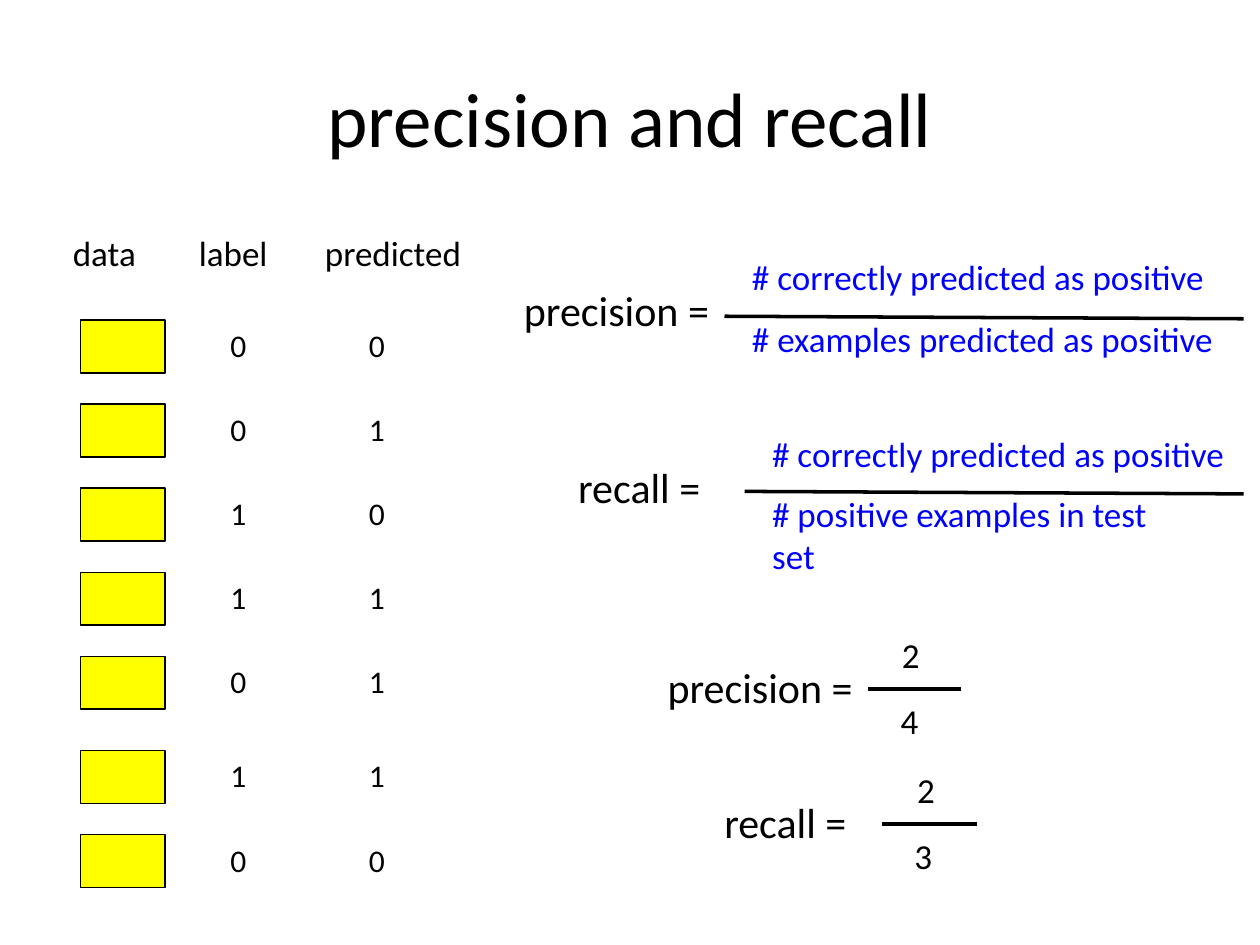
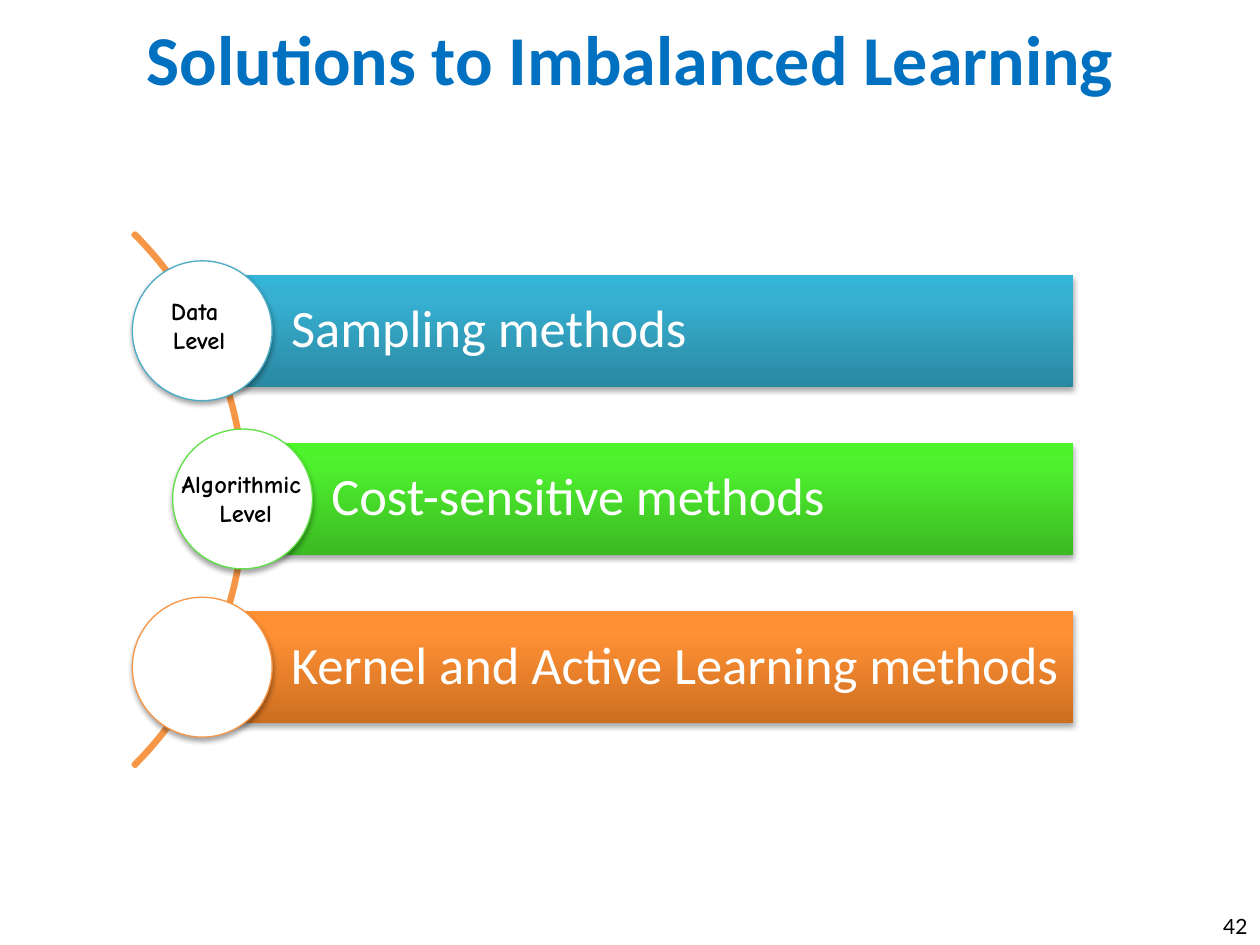
from copy import deepcopy
from dataclasses import dataclass
from typing import NamedTuple

from lxml.etree import SubElement
from pptx import Presentation
from pptx.dml.color import RGBColor
from pptx.enum.shapes import MSO_CONNECTOR as Line, MSO_SHAPE as Kind
from pptx.enum.text import MSO_ANCHOR as Anchor, MSO_AUTO_SIZE as Fit, PP_ALIGN as Align
from pptx.oxml.ns import qn
from pptx.util import Inches, Pt

WIDE, HIGH = Inches(10), Inches(7.5)
COLS, ROWS = 100, 75
COLOR = {
    "black": "000000", "white": "FFFFFF", "yellow": "FFFF00",
    "blue": "0000FF", "title": "0070C0", "orange": "F79646",
    "teal": "4BACC6", "green": "60E146",
}
FONT = "Calibri"


class Box(NamedTuple):
    """Left, top, width and height in grid columns and rows."""
    left: float
    top: float
    wide: float
    high: float


class Label(NamedTuple):
    text: str
    box: Box
    wrap: bool = False


class Rule(NamedTuple):
    left: float
    top: float
    right: float
    end: float


@dataclass
class Ratio:
    name: Label
    over: Label
    under: Label
    rule: Rule
    color: str = "black"


@dataclass
class Band:
    text: str
    shift: float
    edge: str
    fade: tuple[str, str, str]


RATIOS = [
    Ratio(Label("precision =", Box(40.6, 22.1, 16.9, 5)),
          Label("# correctly predicted as positive", Box(58.7, 19.8, 38.4, 4.4)),
          Label("# examples predicted as positive", Box(58.7, 24.7, 39.4, 4.4)),
          Rule(57.5, 25.1, 98.7, 25.3), "blue"),
    Ratio(Label("recall =", Box(44.9, 36.1, 12.6, 5)),
          Label("# correctly predicted as positive", Box(60.3, 33.8, 38.4, 4.4)),
          Label("# positive examples in test set", Box(60.3, 38.6, 34, 7.7), True),
          Rule(59.1, 39, 98.7, 39.2), "blue"),
    Ratio(Label("precision =", Box(52, 52, 16.9, 5)),
          Label("2", Box(70.6, 49.8, 3.6, 4.4)),
          Label("4", Box(70.5, 55, 3.6, 4.4)),
          Rule(68.9, 54.7, 76.3, 54.7)),
    Ratio(Label("recall =", Box(56.5, 62.7, 12.6, 5)),
          Label("2", Box(71.8, 60.5, 3.6, 4.4)),
          Label("3", Box(71.6, 65.7, 3.6, 4.4)),
          Rule(70, 65.4, 77.5, 65.4)),
]
HEADS = [
    Label("data", Box(4.8, 17.9, 7.4, 4.4)),
    Label("label", Box(14.8, 17.9, 7.7, 4.4)),
    Label("predicted", Box(24.8, 17.9, 12.9, 4.4)),
]
PAIRS = ["00", "01", "10", "11", "01", "11", "00"]  # label, predicted
BANDS = [
    Band("Sampling methods", 0, "teal", ("2A88A2", "37B1D2", "34B4D6")),
    Band("Cost-sensitive methods", 3.2, "green", ("3CB923", "4EF02E", "4CF52A")),
    Band("Kernel and Active Learning methods", 0, "orange",
         ("CC6E20", "FF9034", "FF9136")),
]
LEVELS = [
    Label("Data \nLevel", Box(12.1, 23, 7.4, 5.7)),
    Label("Algorithmic \nLevel", Box(11.8, 36.7, 15.4, 5.7), True),
]


def rgb(name: str) -> RGBColor:
    return RGBColor.from_string(COLOR.get(name, name))


def col(n: float) -> int:
    return round(WIDE * n / COLS)


def row(n: float) -> int:
    return round(HIGH * n / ROWS)


def place(box: Box) -> tuple[int, int, int, int]:
    return col(box.left), row(box.top), col(box.wide), row(box.high)


def style(frame, size: float, color: str = "black", font: str = FONT,
          bold: bool = False, align=None) -> None:
    for para in frame.paragraphs:
        para.alignment = align
        para.font.size = Pt(size)
        para.font.name = font
        para.font.bold = bold
        para.font.color.rgb = rgb(color)


def add_title(slide, text: str, box: Box, size: float, color: str,
              bold: bool = False) -> None:
    title = slide.shapes.title
    title.left, title.top, title.width, title.height = place(box)
    frame = title.text_frame
    frame.text = text
    frame.auto_size = Fit.NONE
    frame.vertical_anchor = Anchor.MIDDLE
    style(frame, size, color, bold=bold, align=Align.CENTER)


def add_label(slide, label: Label, size: float, **look) -> None:
    frame = slide.shapes.add_textbox(*place(label.box)).text_frame
    frame.text = label.text
    frame.word_wrap = label.wrap
    frame.auto_size = Fit.SHAPE_TO_FIT_TEXT
    style(frame, size, **look)


def add_shape(slide, kind, box: Box, fill: str = "", edge: str = "",
              width: float = 0.75):
    shape = slide.shapes.add_shape(kind, *place(box))
    shape.shadow.inherit = False
    if fill:
        shape.fill.solid()
        shape.fill.fore_color.rgb = rgb(fill)
    else:
        shape.fill.background()
    if edge:
        shape.line.color.rgb = rgb(edge)
        shape.line.width = Pt(width)
    else:
        shape.line.fill.background()
    return shape


def add_rule(slide, rule: Rule) -> None:
    line = slide.shapes.add_connector(
        Line.STRAIGHT, col(rule.left), row(rule.top), col(rule.right), row(rule.end))
    line.line.color.rgb = rgb("black")
    line.line.width = Pt(2)
    SubElement(line._element.spPr, qn("a:effectLst"))


def add_ratio(slide, ratio: Ratio) -> None:
    add_label(slide, ratio.name, 24)
    for part in (ratio.under, ratio.over):
        add_label(slide, part, 20, color=ratio.color)
    add_rule(slide, ratio.rule)


def cast(shape) -> None:
    """Give the shape a soft shadow below it."""
    glow = shape._element.spPr.find(qn("a:effectLst"))
    drop = SubElement(glow, qn("a:outerShdw"), blurRad=str(Pt(3.1)),
                      dist=str(Pt(1.8)), dir="5400000", rotWithShape="0")
    tint = SubElement(drop, qn("a:srgbClr"), val=COLOR["black"])
    SubElement(tint, qn("a:alpha"), val="35000")


def fade(shape, tones: tuple[str, str, str]) -> None:
    """Fill the shape from bottom to top with three tones."""
    shape.fill.gradient()
    shape.fill.gradient_angle = 90
    stops = shape._element.spPr.find(".//" + qn("a:gsLst"))
    stops.append(deepcopy(stops[-1]))
    for stop, tone, spot in zip(shape.fill.gradient_stops, tones, (0, 0.8, 1)):
        stop.color.rgb = rgb(tone)
        stop.position = spot


def add_band(slide, band: Band, top: float) -> None:
    left, right = 16 + band.shift, 85.2
    bar = add_shape(slide, Kind.RECTANGLE, Box(left, top, right - left, 8.9))
    fade(bar, band.fade)
    cast(bar)
    frame = bar.text_frame
    frame.text = band.text
    frame.word_wrap = True
    frame.vertical_anchor = Anchor.MIDDLE
    frame.margin_left = col(7.1)
    frame.margin_top = frame.margin_right = frame.margin_bottom = col(0.8)
    frame.paragraphs[0].line_spacing = 0.9
    style(frame, 30, "white", align=Align.LEFT)
    disc = Box(left - 5.5, top - 1.1, 11.1, 11.1)
    cast(add_shape(slide, Kind.OVAL, disc, "white", band.edge))


def add_recall(deck) -> None:
    slide = deck.slides.add_slide(deck.slide_layouts[5])
    add_title(slide, "precision and recall", Box(5, 3, 90, 12.5), 44, "black")
    for head in HEADS:
        add_label(slide, head, 20)
    for i, pair in enumerate(PAIRS):
        top = 25.4 + 6.67 * i + (0.8 if i > 4 else 0)
        add_shape(slide, Kind.RECTANGLE, Box(6.4, top, 6.7, 4.2), "yellow", "black")
        for j, digit in enumerate(pair):
            add_label(slide, Label(digit, Box(17.3 + 11 * j, top, 3.4, 4)), 18)
    for ratio in RATIOS:
        add_ratio(slide, ratio)


def add_cures(deck) -> None:
    slide = deck.slides.add_slide(deck.slide_layouts[5])
    add_title(slide, "Solutions to Imbalanced Learning", Box(0, 0.1, 100, 9),
              40, "title", bold=True)
    arc = add_shape(slide, Kind.BLOCK_ARC, Box(-40.4, 9.7, 59.9, 59.9),
                    edge="orange", width=2)
    for i, turn in enumerate((189, 27, 0.004)):
        arc.adjustments[i] = turn
    for i, band in enumerate(BANDS):
        add_band(slide, band, 21.8 + 13.35 * i)
    for level in LEVELS:
        add_label(slide, level, 14, font="Comic Neue", bold=True, align=Align.CENTER)
    page = slide.shapes.add_textbox(*place(Box(93.3, 70.8, 6.7, 4.2))).text_frame
    page.text = "42"
    page.word_wrap = True
    page.vertical_anchor = Anchor.BOTTOM
    style(page, 12, font="Lato", align=Align.RIGHT)


def main() -> None:
    deck = Presentation()
    deck.slide_width, deck.slide_height = WIDE, HIGH
    add_recall(deck)
    add_cures(deck)
    deck.save("out.pptx")


if __name__ == "__main__":
    main()
